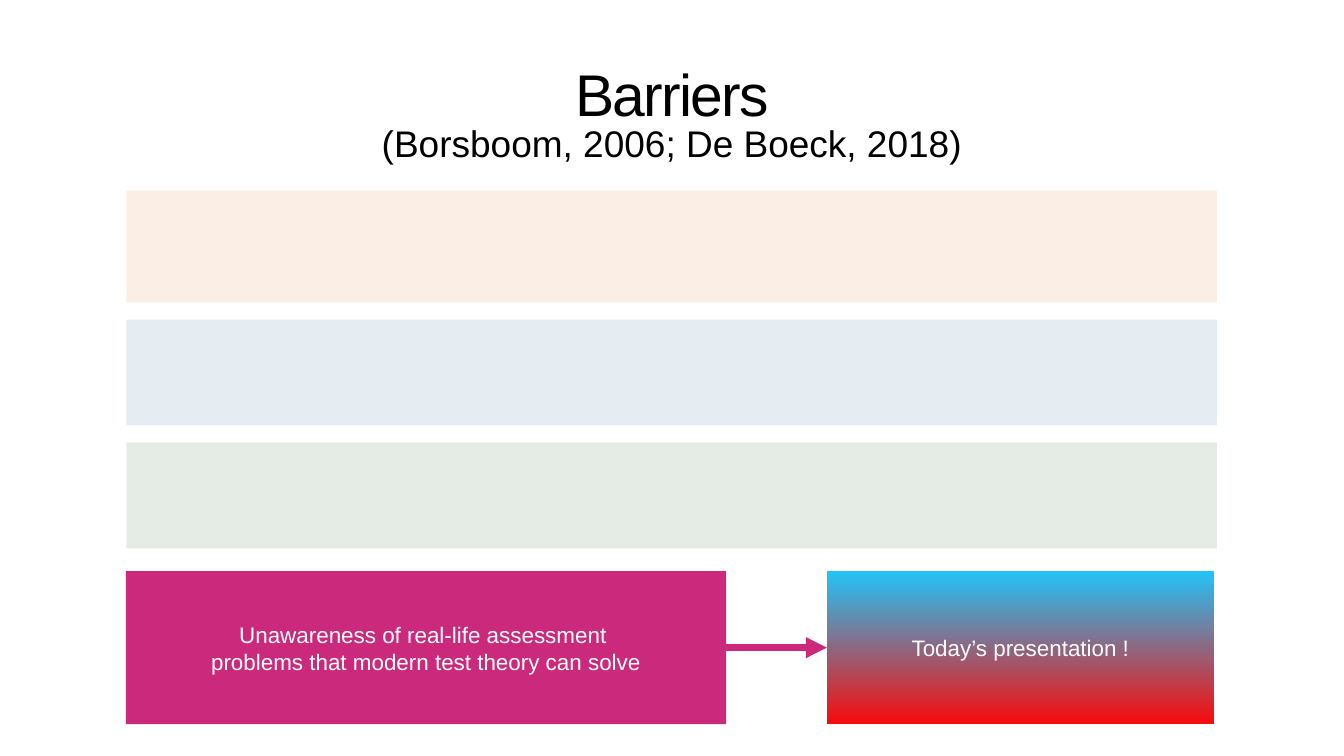
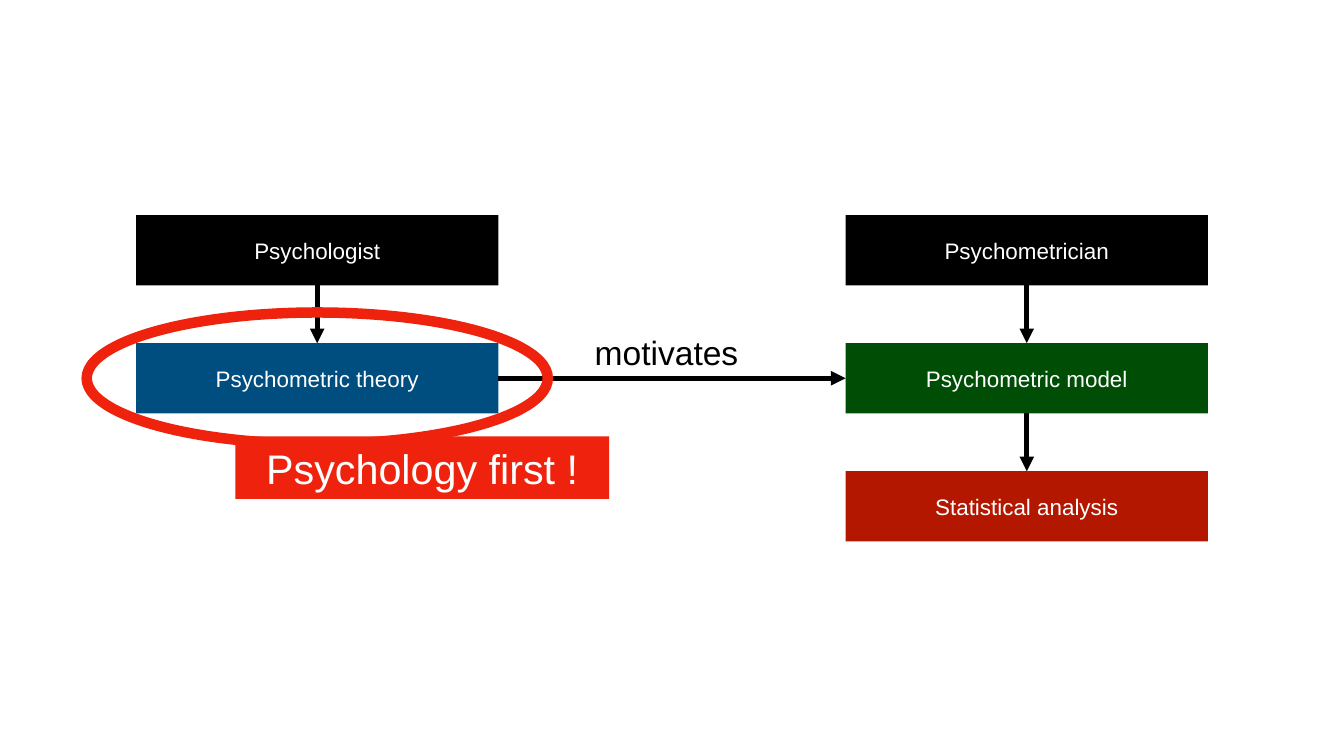
from lxml import etree
from pptx import Presentation, util as u
from pptx.dml.color import RGBColor
from pptx.enum import shapes, text
from pptx.oxml.ns import qn

PX = 9144
FONT = "Arial"
COLORS = {
    "black": "000000", "white": "FFFFFF", "orange": "D75E02", "blue": "004D80",
    "green": "004E05", "magenta": "CB297B", "sky": "22C4F8", "hot": "F80B0B",
    "brick": "B41700", "red": "EE220D",
}

TITLE = "Barriers"
CITATION = "(Borsboom, 2006; De Boeck, 2018)"
FADED_BARRIERS = [("orange", 378, 222), ("blue", 634, 210), ("green", 878, 210)]
UNAWARENESS = ["Unawareness of real-life assessment ",
               "problems that modern test theory can solve"]
TODAY = "Today’s presentation !"

COLUMNS = [
    (270, [("Psychologist", "black"), ("Psychometric theory", "blue")]),
    (1678, [("Psychometrician", "black"), ("Psychometric model", "green"),
            ("Statistical analysis", "brick")]),
]
NODE_W, NODE_H, NODE_TOP, NODE_STEP = 719, 139, 427, 254


def rgb(name):
    return RGBColor.from_string(COLORS[name])


def write(sp, lines, size, color="white", align="CENTER", anchor="MIDDLE",
          wrap=True, line_spacing=None, tracking=None):
    tf = sp.text_frame
    frame = {"word_wrap": wrap, "vertical_anchor": text.MSO_ANCHOR[anchor]}
    frame.update({f"margin_{side}": 6 * PX for side in ("left", "right", "top", "bottom")})
    for name, value in frame.items():
        setattr(tf, name, value)
    for i, line in enumerate(lines):
        p = tf.add_paragraph() if i else tf.paragraphs[0]
        p.alignment = text.PP_ALIGN[align]
        p.line_spacing = line_spacing
        r = p.add_run()
        r.text = line
        for name, value in {"name": FONT, "size": u.Pt(size)}.items():
            setattr(r.font, name, value)
        r.font.color.rgb = rgb(color)
        if tracking:
            r.font._element.set("spc", str(tracking))


def label(s, box, line, size, **fmt):
    sp = s.shapes.add_textbox(*(v * PX for v in box))
    write(sp, [line], size, color="black", **fmt)


def shape(s, box, fill=None, lines=(), size=32, kind="RECTANGLE", alpha=None):
    sp = s.shapes.add_shape(shapes.MSO_SHAPE[kind], *(v * PX for v in box))
    sp.shadow.inherit = False
    sp.line.fill.background()
    if fill:
        sp.fill.solid()
        sp.fill.fore_color.rgb = rgb(fill)
    else:
        sp.fill.background()
    if alpha:
        clr = sp._element.spPr.find(".//" + qn("a:srgbClr"))
        etree.SubElement(clr, qn("a:alpha")).set("val", str(alpha * 1000))
    if lines:
        write(sp, lines, size)
    return sp


def arrow(s, x1, y1, x2, y2, color, width):
    c = s.shapes.add_connector(shapes.MSO_CONNECTOR.STRAIGHT,
                               *(int(v * PX) for v in (x1, y1, x2, y2)))
    c.line.color.rgb = rgb(color)
    c.line.width = u.Pt(width)
    etree.SubElement(c.line._get_or_add_ln(), qn("a:tailEnd")).set("type", "triangle")
    etree.SubElement(c._element.spPr, qn("a:effectLst"))


def barriers(s):
    label(s, (139, 89, 2389, 170), TITLE, 84, anchor="BOTTOM",
          line_spacing=0.8, tracking=-250)
    label(s, (139, 233, 2389, 111), CITATION, 52.9, anchor="TOP")
    for color, top, height in FADED_BARRIERS:
        shape(s, (251, top, 2164, height), color, alpha=10)

    top, height, today_left = 1133, 304, 1641
    today = shape(s, (today_left, top, 768, height), "sky", [TODAY])
    today.fill.gradient()
    today.fill.gradient_angle = 270
    for position, (stop, color) in enumerate(zip(today.fill.gradient_stops, ("sky", "hot"))):
        stop.color.rgb = rgb(color)
        stop.position = position
    shape(s, (250, top, 1191, height), "magenta", UNAWARENESS)
    middle = top + height / 2
    arrow(s, 1423, middle, today_left, middle, "magenta", 10)


def psychology_first(s):
    for left, nodes in COLUMNS:
        center = left + NODE_W / 2
        for i, (line, color) in enumerate(nodes):
            top = NODE_TOP + i * NODE_STEP
            shape(s, (left, top, NODE_W, NODE_H), color, [line])
            if i:
                arrow(s, center, top - NODE_STEP + NODE_H, center, top, "black", 7)

    theory_left, model_left = (left for left, _ in COLUMNS)
    middle = NODE_TOP + NODE_STEP + NODE_H / 2
    arrow(s, theory_left + NODE_W, middle, model_left, middle, "black", 7)
    label(s, (1174, 647, 306, 103), "motivates", 48, align="LEFT", wrap=False)

    ring = shape(s, (172, 620, 915, 261), kind="OVAL")
    ring.line.color.rgb = rgb("red")
    ring.line.width = u.Pt(15)
    shape(s, (467, 866, 742, 124), "red", ["Psychology first !"], size=59)


def main():
    prs = Presentation()
    prs.slide_width, prs.slide_height = 2667 * PX, 1500 * PX
    for build in (barriers, psychology_first):
        build(prs.slides.add_slide(prs.slide_layouts[6]))
    prs.save("out.pptx")


if __name__ == "__main__":
    main()
